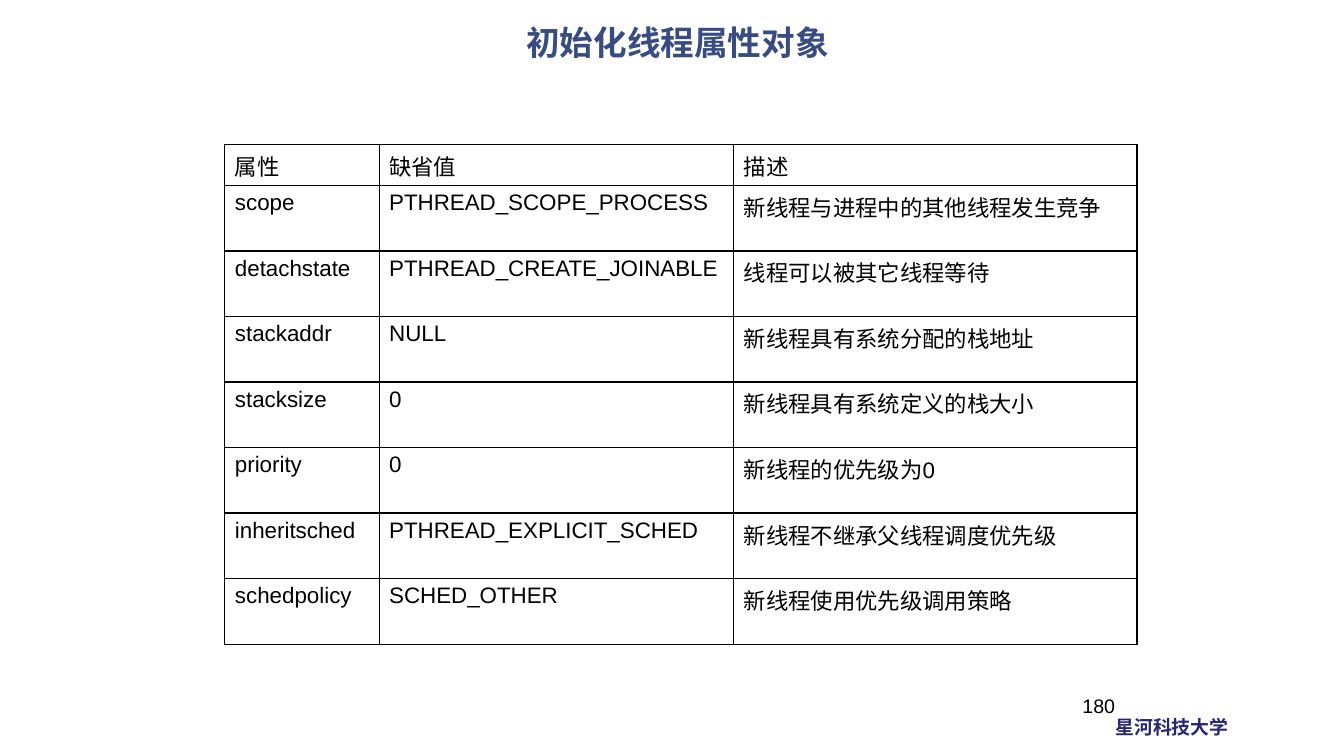
from lxml import etree
from pptx import Presentation
from pptx import util as u
from pptx.dml.color import RGBColor
from pptx.enum import text
from pptx.oxml import ns

LATIN, CJK = "Arial", "Noto Sans CJK SC"
BLACK, TITLE_BLUE, NAVY = "000000", "384C81", "262673"

COL_WIDTHS = (110.2, 253.4, 288)
HEADER_HEIGHT, ROW_HEIGHT = 29.5, 46.8
ROWS = (
    ("属性", "缺省值", "描述"),
    ("scope", "PTHREAD_SCOPE_PROCESS", "新线程与进程中的其他线程发生竞争"),
    ("detachstate", "PTHREAD_CREATE_JOINABLE", "线程可以被其它线程等待"),
    ("stackaddr", "NULL", "新线程具有系统分配的栈地址"),
    ("stacksize", "0", "新线程具有系统定义的栈大小"),
    ("priority", "0", "新线程的优先级为0"),
    ("inheritsched", "PTHREAD_EXPLICIT_SCHED", "新线程不继承父线程调度优先级"),
    ("schedpolicy", "SCHED_OTHER", "新线程使用优先级调用策略"),
)


def color(value):
    return RGBColor.from_string(value)


def format_run(r, size, fill, font=LATIN, bold=False):
    r.font.size = u.Pt(size)
    r.font.bold = bold
    r.font.name = font
    r.font.color.rgb = color(fill)
    # East Asian typeface
    ea = etree.SubElement(r.font._element, ns.qn("a:ea"))
    ea.set("typeface", CJK)


def add_text(s, box, content, size, fill, font=LATIN, bold=False,
             align=text.PP_ALIGN.LEFT, wrap=True, spacing=None):
    tf = s.shapes.add_textbox(*map(u.Pt, box)).text_frame
    tf.word_wrap = wrap
    tf.text = content
    p = tf.paragraphs[0]
    p.alignment = align
    p.line_spacing = spacing
    format_run(p.runs[0], size, fill, font, bold)


def set_borders(cell, fill, width):
    tc_pr = cell._tc.get_or_add_tcPr()
    for position, side in enumerate(("lnL", "lnR", "lnT", "lnB")):
        ln = etree.Element(ns.qn(f"a:{side}"), w=str(u.Pt(width)))
        solid = etree.SubElement(ln, ns.qn("a:solidFill"))
        etree.SubElement(solid, ns.qn("a:srgbClr"), val=fill)
        tc_pr.insert(position, ln)


def fill_cell(cell, content):
    cell.fill.background()
    set_borders(cell, BLACK, 1)
    cell.text_frame.text = content
    p = cell.text_frame.paragraphs[0]
    # Hanging indent
    p_pr = p._p.get_or_add_pPr()
    p_pr.set("marL", str(u.Pt(27)))
    p_pr.set("indent", str(u.Pt(-27)))
    format_run(p.runs[0], 16, BLACK)


def add_attribute_table(s, left, top):
    height = HEADER_HEIGHT + ROW_HEIGHT * (len(ROWS) - 1)
    table = s.shapes.add_table(
        len(ROWS), len(COL_WIDTHS), u.Pt(left), u.Pt(top),
        u.Pt(sum(COL_WIDTHS)), u.Pt(height)).table
    table.first_row = table.horz_banding = False
    for column, width in zip(table.columns, COL_WIDTHS):
        column.width = u.Pt(width)
    for i, (row, values) in enumerate(zip(table.rows, ROWS)):
        row.height = u.Pt(ROW_HEIGHT if i else HEADER_HEIGHT)
        for cell, value in zip(row.cells, values):
            fill_cell(cell, value)


def main():
    prs = Presentation()
    prs.slide_width, prs.slide_height = u.Pt(960), u.Pt(540)
    s = prs.slides.add_slide(prs.slide_layouts[6])

    # Title
    add_text(s, (99, 15, 770, 43), "初始化线程属性对象", 24, TITLE_BLUE, CJK,
             bold=True, align=text.PP_ALIGN.CENTER, spacing=0.9)

    # Thread attributes
    add_attribute_table(s, 160.6, 103)

    # Footer: page number and school
    add_text(s, (635.8, 491.8, 167.8, 37.4), "180", 14, BLACK,
             align=text.PP_ALIGN.RIGHT)
    add_text(s, (789.8, 507.6, 96.5, 23.8), "星河科技大学", 13.5, NAVY, CJK,
             bold=True, wrap=False)

    prs.save("out.pptx")


if __name__ == "__main__":
    main()
